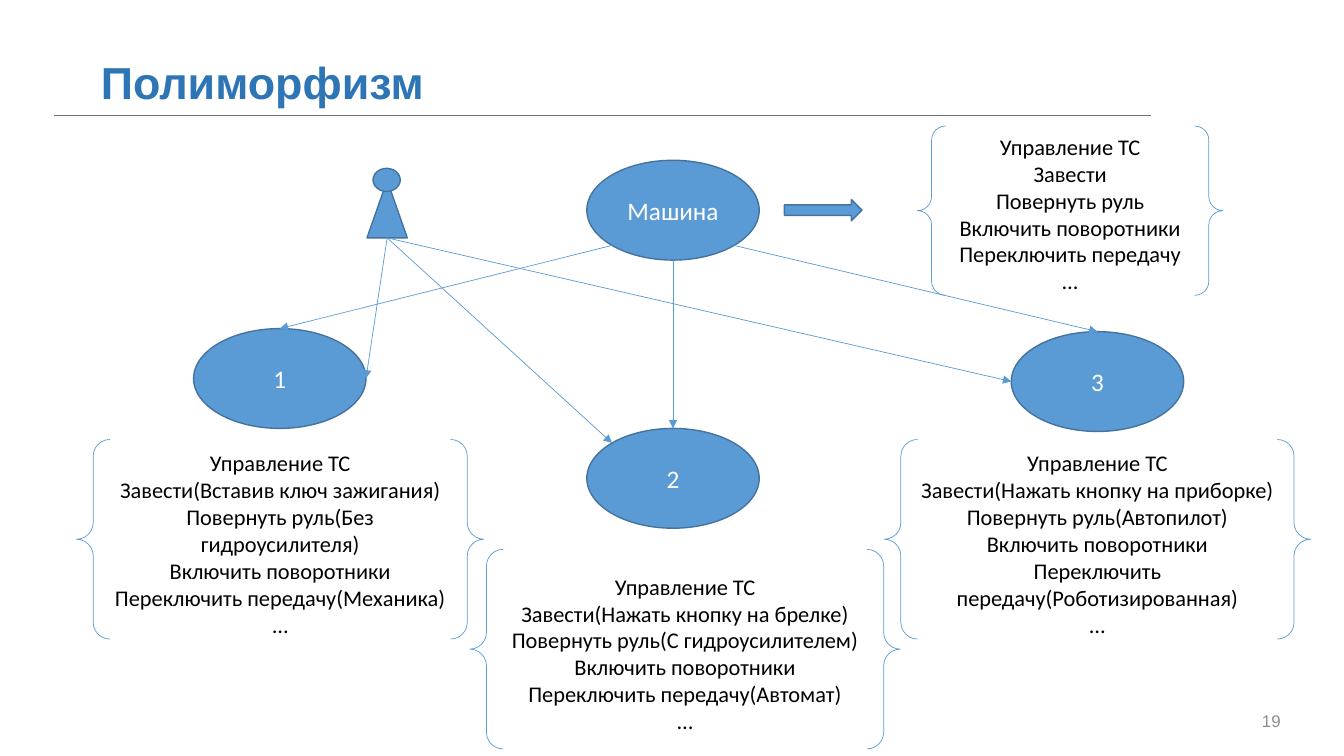
import pptx
import pptx.util
import pptx.dml.color
import pptx.enum.shapes
import pptx.enum.text
import pptx.oxml
import pptx.oxml.ns

Inches, Pt = pptx.util.Inches, pptx.util.Pt
RGBColor = pptx.dml.color.RGBColor
MSO_SHAPE = pptx.enum.shapes.MSO_SHAPE
ALIGN = pptx.enum.text.PP_ALIGN
MIDDLE = pptx.enum.text.MSO_ANCHOR.MIDDLE

BLUE = RGBColor(0x5B, 0x9B, 0xD5)
OUTLINE = RGBColor(0x43, 0x73, 0x9E)
TITLE_BLUE = RGBColor(0x2E, 0x75, 0xB6)
RULE_GRAY = RGBColor(0x6E, 0x6E, 0x6E)
NUMBER_GRAY = RGBColor(0x8C, 0x8C, 0x8C)
WHITE = RGBColor(0xFF, 0xFF, 0xFF)
BLACK = RGBColor(0, 0, 0)

OVAL_W, OVAL_H = 1.71, 0.99
DIAGONAL = 0.5 ** 0.5


def write_lines(tf, lines, size, font, color, align, bold=False):
    tf.word_wrap = True
    tf.vertical_anchor = MIDDLE
    for i, line in enumerate(lines):
        p = tf.paragraphs[0] if i == 0 else tf.add_paragraph()
        p.alignment = align
        r = p.add_run()
        r.text = line
        r.font.size = Pt(size)
        r.font.name = font
        r.font.bold = bold
        r.font.color.rgb = color


def add_preset(shapes, kind, x, y, w, h, fill=BLUE, line=OUTLINE, width=1):
    sp = shapes.add_shape(kind, Inches(x), Inches(y), Inches(w), Inches(h))
    sp.shadow.inherit = False
    if fill is None:
        sp.fill.background()
    else:
        sp.fill.solid()
        sp.fill.fore_color.rgb = fill
    sp.line.color.rgb = line
    sp.line.width = Pt(width)
    return sp


def add_line(s, start, end, color=BLUE, arrow=True):
    cxn = s.shapes.add_connector(pptx.enum.shapes.MSO_CONNECTOR.STRAIGHT,
                                 *(Inches(v) for v in (*start, *end)))
    cxn.line.color.rgb = color
    cxn.line.width = Pt(0.5)
    if arrow:
        tail = pptx.oxml.parse_xml(
            '<a:tailEnd %s type="triangle"/>' % pptx.oxml.ns.nsdecls("a"))
        cxn.line._get_or_add_ln().append(tail)
    cxn._element.spPr.append(pptx.oxml.parse_xml(
        "<a:effectLst %s/>" % pptx.oxml.ns.nsdecls("a")))
    return cxn


def add_header(s, x, y, w, h):
    title = s.shapes.title
    title.left, title.top = Inches(x), Inches(y)
    title.width, title.height = Inches(w), Inches(h)
    write_lines(title.text_frame, ["Полиморфизм"], 32, "Arial", TITLE_BLUE,
                ALIGN.LEFT, bold=True)
    rule_y = y + h + 0.06
    add_line(s, (x - 0.36, rule_y), (x + 10.52, rule_y), RULE_GRAY, arrow=False)


def add_page_number(s, x, y, w, h):
    box = s.shapes.add_textbox(Inches(x), Inches(y), Inches(w), Inches(h))
    write_lines(box.text_frame, ["19"], 12, "Arial", NUMBER_GRAY, ALIGN.RIGHT)


def add_oval(s, x, y, label):
    sp = add_preset(s.shapes, MSO_SHAPE.OVAL, x, y, OVAL_W, OVAL_H)
    write_lines(sp.text_frame, [label], 18, "Calibri", WHITE, ALIGN.CENTER)
    return sp


def oval_point(x, y, dx, dy):
    """Point on an oval's outline; dx and dy run from -1 to 1 from its centre."""
    return x + OVAL_W / 2 * (1 + dx), y + OVAL_H / 2 * (1 + dy)


def add_methods(s, x, y, w, h, start="", wheel="", gear=""):
    """Braces around the methods, each with its own way of doing it."""
    sp = add_preset(s.shapes, MSO_SHAPE.DOUBLE_BRACE, x, y, w, h,
                    fill=None, line=BLUE, width=0.5)
    lines = ["Управление ТС", "Завести" + start, "Повернуть руль" + wheel,
             "Включить поворотники", "Переключить передачу" + gear, "…"]
    write_lines(sp.text_frame, lines, 16, "Calibri", BLACK, ALIGN.CENTER)
    sp.text_frame.margin_bottom = Inches(0.13)


def add_driver(s, x, y):
    """Draws the figure and returns the point at the middle of its base."""
    group = s.shapes.add_group_shape()
    add_preset(group.shapes, MSO_SHAPE.ISOSCELES_TRIANGLE, x, y + 0.12, 0.4, 0.57)
    add_preset(group.shapes, MSO_SHAPE.FLOWCHART_CONNECTOR, x + 0.06, y, 0.27, 0.23)
    return x + 0.2, y + 0.69


def add_diagram(s):
    car = (5.82, 1.59)
    models = {"1": (1.92, 3.26), "2": (5.82, 4.25), "3": (10.03, 3.29)}
    car_exits = {"1": (-DIAGONAL, DIAGONAL), "2": (0, 1), "3": (DIAGONAL, DIAGONAL)}
    driver_entries = {"1": (1, 0), "2": (-DIAGONAL, -DIAGONAL), "3": (-1, 0)}

    add_oval(s, *car, "Машина")
    for label, place in models.items():
        oval = add_oval(s, *place, label)
        cxn = add_line(s, oval_point(*car, *car_exits[label]),
                       oval_point(*place, 0, -1))
        cxn.end_connect(oval, 0)
    add_preset(s.shapes, MSO_SHAPE.RIGHT_ARROW, 7.78, 1.98, 0.77, 0.21)

    add_methods(s, 9.1, 1.25, 3.03, 1.68)
    add_methods(s, 0.76, 4.36, 4.04, 1.98, "(Вставив ключ зажигания)",
                "(Без гидроусилителя)", "(Механика)")
    add_methods(s, 4.66, 5.45, 4.27, 1.98, "(Нажать кнопку на брелке)",
                "(С гидроусилителем)", "(Автомат)")
    add_methods(s, 8.77, 4.36, 4.23, 1.98, "(Нажать кнопку на приборке)",
                "(Автопилот)", "(Роботизированная)")

    base = add_driver(s, 3.64, 1.67)
    for label, place in models.items():
        add_line(s, base, oval_point(*place, *driver_entries[label]))


def main():
    prs = pptx.Presentation()
    prs.slide_width, prs.slide_height = Inches(13.33), Inches(7.5)
    s = prs.slides.add_slide(prs.slide_layouts[5])
    add_header(s, 0.9, 0.53, 8.45, 0.55)
    add_page_number(s, 11.5, 6.95, 1.3, 0.4)
    add_diagram(s)
    prs.save("out.pptx")


if __name__ == "__main__":
    main()
